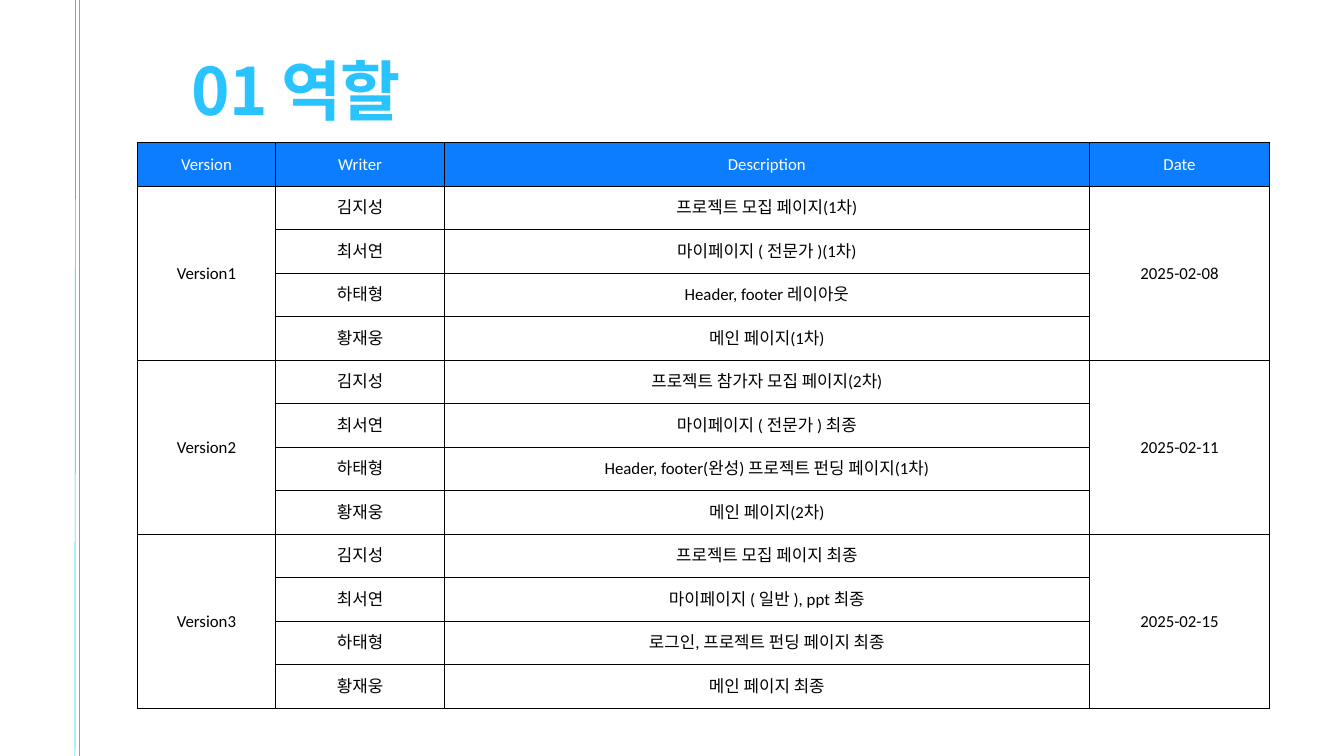
from typing import NamedTuple

from lxml.etree import SubElement
from pptx import Presentation
from pptx.dml.color import RGBColor
from pptx.enum.shapes import MSO_CONNECTOR
from pptx.enum.text import MSO_ANCHOR, MSO_AUTO_SIZE, PP_ALIGN
from pptx.oxml.ns import qn
from pptx.util import Emu, Pt

PX = 9525  # EMU per px, 96 px to the inch
COLORS = {"sky": "29C3FF", "blue": "0C7DFF", "white": "FFFFFF", "black": "000000"}
TITLE_FONT = "Noto Sans CJK KR"
TABLE_FONT = "Calibri"
HEADERS = ["Version", "Writer", "Description", "Date"]
COLUMN_WIDTHS = [198, 241, 921, 258]
WRITERS = ["김지성", "최서연", "하태형", "황재웅"]


class Version(NamedTuple):
    name: str
    date: str
    tasks: list[str]


class Rule(NamedTuple):
    bottom_x: int
    top_x: int


VERSIONS = [
    Version("Version1", "2025-02-08", [
        "프로젝트 모집 페이지(1차)",
        "마이페이지 ( 전문가 )(1차)",
        "Header, footer 레이아웃",
        "메인 페이지(1차)",
    ]),
    Version("Version2", "2025-02-11", [
        "프로젝트 참가자 모집 페이지(2차)",
        "마이페이지 ( 전문가 ) 최종",
        "Header, footer(완성) 프로젝트 펀딩 페이지(1차)",
        "메인 페이지(2차)",
    ]),
    Version("Version3", "2025-02-15", [
        "프로젝트 모집 페이지 최종",
        "마이페이지 ( 일반 ), ppt 최종",
        "로그인, 프로젝트 펀딩 페이지 최종",
        "메인 페이지 최종",
    ]),
]
RULES = [Rule(107, 108), Rule(114, 114)]


def px(n: int) -> Emu:
    return Emu(n * PX)


def rgb(name: str) -> RGBColor:
    return RGBColor.from_string(COLORS[name])


def add_run(p, text: str, font: str, size: int, color: str):
    r = p.add_run()
    r.text = text
    r.font.size = Pt(size)
    r.font.color.rgb = rgb(color)
    r.font.name = font
    SubElement(r.font._element, qn("a:ea"), typeface=font)
    return r


def add_rule(s, rule: Rule, height: int) -> None:
    line = s.shapes.add_connector(
        MSO_CONNECTOR.STRAIGHT, px(rule.bottom_x), px(height), px(rule.top_x), 0)
    line.line.color.rgb = rgb("sky")
    line.line.width = Pt(0.75)
    SubElement(line._element.spPr, qn("a:effectLst"))


def add_title(s, text: str) -> None:
    sp = s.shapes.add_textbox(px(274), px(15), px(1226), px(152))
    tf = sp.text_frame
    tf.word_wrap = True
    tf.auto_size = MSO_AUTO_SIZE.SHAPE_TO_FIT_TEXT
    tf.margin_left = tf.margin_top = tf.margin_right = tf.margin_bottom = 0
    p = tf.paragraphs[0]
    p.line_spacing = Pt(126)
    r = add_run(p, text, TITLE_FONT, 70, "sky")
    r.font.bold = True
    r.font._element.set("spc", "-120")


def style_cell(cell, fill: str | None) -> None:
    """Set the margins, the four black borders and the fill."""
    cell.vertical_anchor = MSO_ANCHOR.MIDDLE
    cell.margin_left = cell.margin_right = px(2)
    cell.margin_top = cell.margin_bottom = 0
    tc_pr = cell._tc.get_or_add_tcPr()
    for side in ("lnL", "lnR", "lnT", "lnB"):
        ln = SubElement(tc_pr, qn(f"a:{side}"), w=str(Pt(1)))
        solid = SubElement(ln, qn("a:solidFill"))
        SubElement(solid, qn("a:srgbClr"), val=COLORS["black"])
    if fill:
        cell.fill.solid()
        cell.fill.fore_color.rgb = rgb(fill)
    else:
        cell.fill.background()


def write_cell(cell, text: str, color: str) -> None:
    p = cell.text_frame.paragraphs[0]
    p.alignment = PP_ALIGN.CENTER
    add_run(p, text, TABLE_FONT, 18, color)


def add_version(table, top: int, version: Version) -> None:
    """Fill one block of rows, its name and date spanning all of them."""
    bottom = top + len(WRITERS) - 1
    for col, text in ((0, version.name), (3, version.date)):
        table.cell(top, col).merge(table.cell(bottom, col))
        write_cell(table.cell(top, col), text, "black")
    for row, (writer, task) in enumerate(zip(WRITERS, version.tasks), top):
        write_cell(table.cell(row, 1), writer, "black")
        write_cell(table.cell(row, 2), task, "black")


def add_role_table(s) -> None:
    n_rows = 1 + len(VERSIONS) * len(WRITERS)
    table = s.shapes.add_table(
        n_rows, len(HEADERS), px(196), px(204), px(sum(COLUMN_WIDTHS)), px(808)).table
    table.horz_banding = False
    for column, width in zip(table.columns, COLUMN_WIDTHS):
        column.width = px(width)
    for i, row in enumerate(table.rows):
        row.height = px(808) // n_rows
        for cell in row.cells:
            style_cell(cell, "blue" if i == 0 else None)
    for col, text in enumerate(HEADERS):
        write_cell(table.cell(0, col), text, "white")
    for i, version in enumerate(VERSIONS):
        add_version(table, 1 + i * len(WRITERS), version)


def main() -> None:
    prs = Presentation()
    prs.slide_width, prs.slide_height = px(1920), px(1080)
    s = prs.slides.add_slide(prs.slide_layouts[6])
    for rule in RULES:
        add_rule(s, rule, 1080)
    add_title(s, "01 역할")
    add_role_table(s)
    prs.save("out.pptx")


if __name__ == "__main__":
    main()
